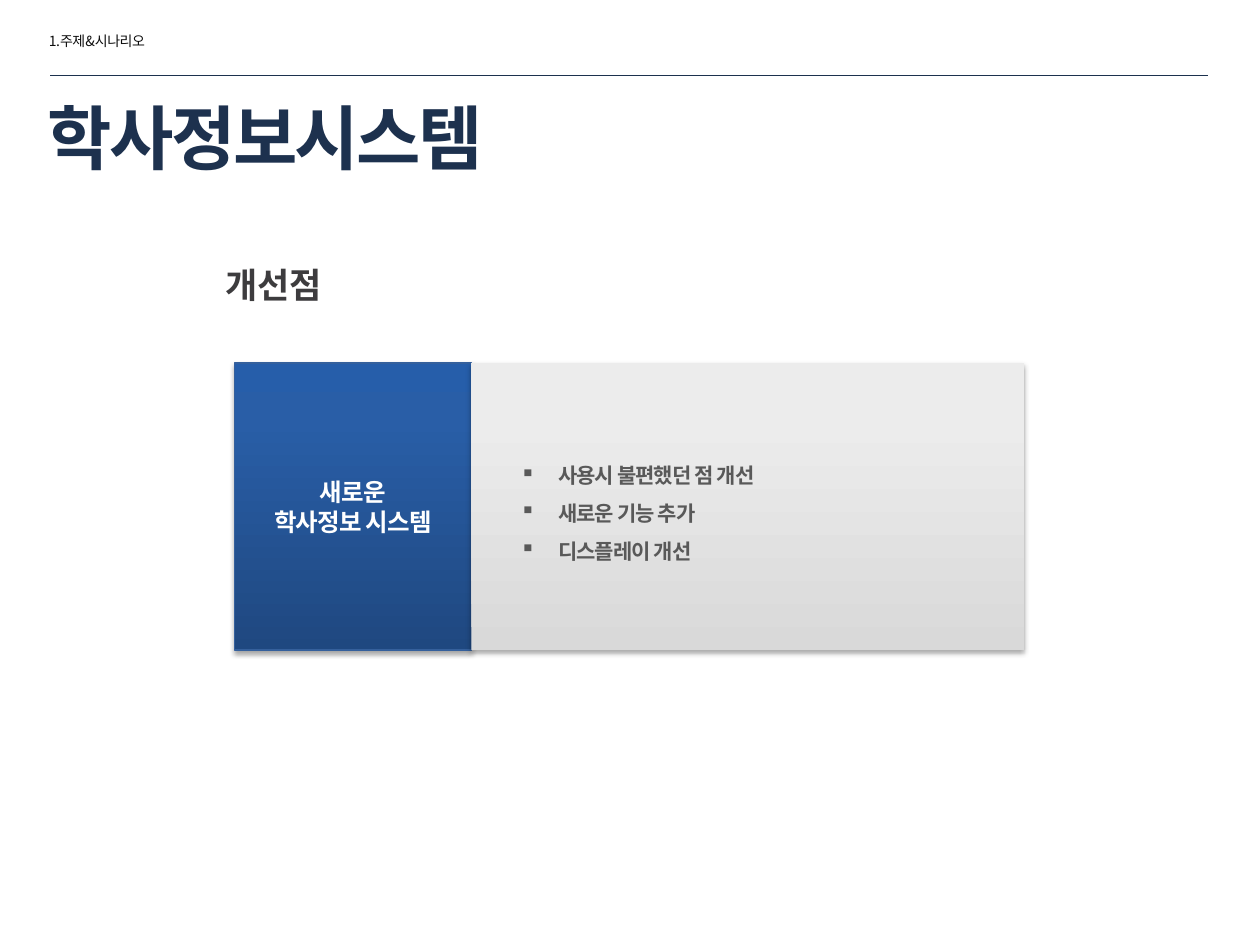
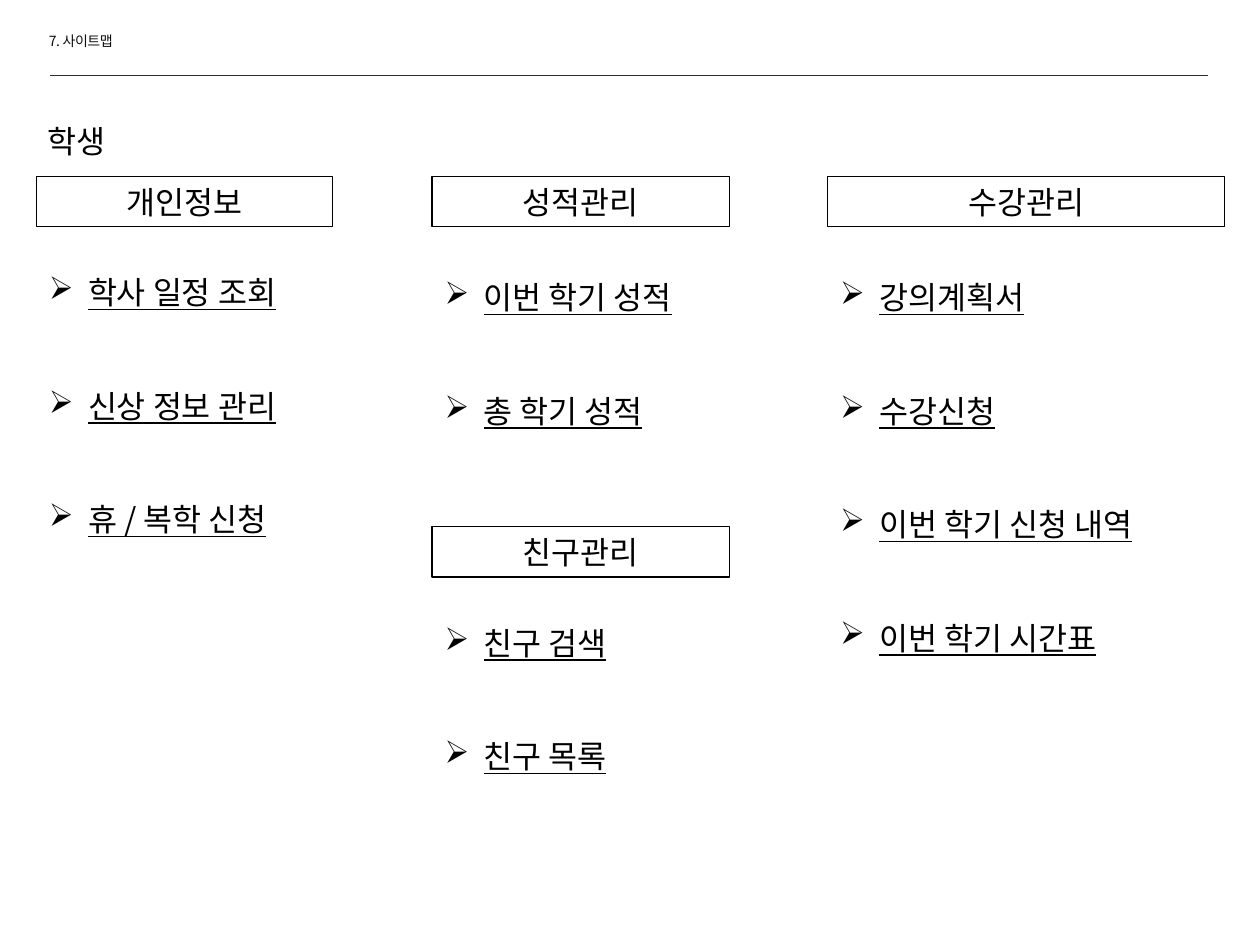
"""Build the two slides on the school information system."""
from dataclasses import dataclass

import lxml.etree
import pptx
import pptx.dml.color
import pptx.enum.shapes
import pptx.enum.text
import pptx.oxml.ns
import pptx.presentation
import pptx.shapes.autoshape
import pptx.slide
import pptx.util

RGB = pptx.dml.color.RGBColor
ALIGN = pptx.enum.text.PP_ALIGN
ANCHOR = pptx.enum.text.MSO_ANCHOR
qn = pptx.oxml.ns.qn

SCALE = 9144
FONT = "Noto Sans CJK KR"
LEAD = 1.2
BLACK = RGB(0x00, 0x00, 0x00)
WHITE = RGB(0xFF, 0xFF, 0xFF)
INK = RGB(0x0D, 0x0D, 0x0D)
NAVY = RGB(0x1D, 0x31, 0x4E)
RULE = RGB(0x1C, 0x31, 0x4E)
DARK = RGB(0x3D, 0x3C, 0x3E)
GRAY = RGB(0x59, 0x59, 0x59)
EDGE = RGB(0x35, 0x60, 0x9C)
BLUES = ((0, RGB(0x1F, 0x48, 0x80)), (80, RGB(0x29, 0x5E, 0xA7)), (100, RGB(0x26, 0x5E, 0xAA)))
GRAYS = ((0, RGB(0xD9, 0xD9, 0xD9)), (80, RGB(0xEC, 0xEC, 0xEC)))


@dataclass(frozen=True)
class Box:
    """Place and size in px."""
    left: int
    top: int
    width: int
    height: int

    def emu(self) -> tuple[int, ...]:
        """Return the four lengths in EMU."""
        return tuple(px(n) for n in (self.left, self.top, self.width, self.height))


@dataclass(frozen=True)
class Style:
    """Look of a run and its paragraph."""
    size: int
    color: RGB
    bold: bool = False
    under: bool = False
    track: int = 0
    align: ALIGN = ALIGN.LEFT
    lead: float = LEAD
    gap: float = 0
    mark: str = ""
    left: int = 0
    hang: int = 0


@dataclass(frozen=True)
class Group:
    """A menu heading with its list of pages."""
    name: str
    col: int
    top: int
    width: int
    drop: int
    height: int
    pages: tuple[str, ...]


HEAD = Style(8, INK, track=-30)
TITLE = Style(40, NAVY, bold=True, track=-150)
TOPIC = Style(20, DARK, bold=True)
LABEL = Style(14, WHITE, bold=True, track=-50, align=ALIGN.CENTER)
POINT = Style(12, GRAY, bold=True, track=-50, lead=1.5 * LEAD, mark="▪", left=59, hang=30)
ROLE = Style(18, BLACK)
MENU = Style(18, BLACK, align=ALIGN.CENTER)
PAGE = Style(18, BLACK, under=True, gap=43.2, mark="➢", left=31, hang=31)

COL_LEFT, COL_STEP, MENU_HIGH, LIST_PAD = 29, 314, 40, 36
GROUPS = (
    Group("개인정보", 0, 140, 235, 41, 252, ("학사 일정 조회", "신상 정보 관리", "휴 / 복학 신청")),
    Group("성적관리", 1, 140, 236, 45, 192, ("이번 학기 성적", "총 학기 성적")),
    Group("친구관리", 1, 418, 236, 41, 192, ("친구 검색", "친구 목록")),
    Group("수강관리", 2, 140, 315, 45, 374,
          ("강의계획서", "수강신청", "이번 학기 신청 내역", "이번 학기 시간표")),
)


def px(n: int) -> int:
    """Turn px into EMU."""
    return n * SCALE


def write(frame: pptx.text.text.TextFrame, lines: tuple[str, ...], style: Style) -> None:
    """Fill a frame with one paragraph per line."""
    frame.word_wrap = True
    for i, line in enumerate(lines):
        para = frame.add_paragraph() if i else frame.paragraphs[0]
        if style.mark:
            props = para._p.get_or_add_pPr()
            props.set("marL", str(px(style.left)))
            props.set("indent", str(-px(style.hang)))
            lxml.etree.SubElement(props, qn("a:buChar"), char=style.mark)
        para.alignment = style.align
        para.line_spacing = pptx.util.Pt(style.size * style.lead)
        para.space_before = pptx.util.Pt(style.gap if i else 0)
        run = para.add_run()
        run.text = line
        font = run.font
        font.name, font.size = FONT, pptx.util.Pt(style.size)
        font.bold, font.underline = style.bold, style.under
        font.color.rgb = style.color
        props = run._r.get_or_add_rPr()
        props.set("spc", str(style.track))
        props.find(qn("a:latin")).addnext(props.makeelement(qn("a:ea"), typeface=FONT))


def label(slide: pptx.slide.Slide, box: Box, lines: tuple[str, ...], style: Style,
          pad: int = 5) -> None:
    """Add a text box."""
    frame = slide.shapes.add_textbox(*box.emu()).text_frame
    frame.margin_top = px(pad)
    write(frame, lines, style)


def block(slide: pptx.slide.Slide, box: Box, lines: tuple[str, ...], style: Style,
          edge: RGB | None) -> pptx.shapes.autoshape.Shape:
    """Add a white box with centred text."""
    shape = slide.shapes.add_shape(pptx.enum.shapes.MSO_SHAPE.RECTANGLE, *box.emu())
    shape.shadow.inherit = False
    shape.fill.solid()
    shape.fill.fore_color.rgb = WHITE
    if edge is None:
        shape.line.fill.background()
    else:
        shape.line.color.rgb = edge
        shape.line.width = pptx.util.Pt(0.75)
    shape.text_frame.vertical_anchor = ANCHOR.MIDDLE
    write(shape.text_frame, lines, style)
    return shape


def tint(shape: pptx.shapes.autoshape.Shape, stops: tuple[tuple[int, RGB], ...]) -> None:
    """Give a box an upward gradient and a soft shadow."""
    shape.fill.gradient()
    shape.fill.gradient_angle = 90
    props = shape._element.spPr
    ramp = props.find(".//" + qn("a:gsLst"))
    ramp.clear()
    for place, color in stops:
        stop = lxml.etree.SubElement(ramp, qn("a:gs"), pos=str(place * 1000))
        lxml.etree.SubElement(stop, qn("a:srgbClr"), val=str(color))
    shade = lxml.etree.SubElement(
        props.find(qn("a:effectLst")), qn("a:outerShdw"),
        blurRad=str(pptx.util.Pt(3.1)), dist=str(pptx.util.Pt(1.8)),
        dir="5400000", rotWithShape="0")
    color = lxml.etree.SubElement(shade, qn("a:srgbClr"), val=str(BLACK))
    lxml.etree.SubElement(color, qn("a:alpha"), val="35000")


def start(deck: pptx.presentation.Presentation, layout: int, text: str) -> pptx.slide.Slide:
    """Add a slide with its header and rule."""
    slide = deck.slides.add_slide(deck.slide_layouts[layout])
    label(slide, Box(29, 21, 173, 24), (text,), HEAD)
    rule = slide.shapes.add_connector(
        pptx.enum.shapes.MSO_CONNECTOR.STRAIGHT, px(40), px(60), px(959), px(60))
    rule.line.color.rgb = RULE
    rule.line.width = pptx.util.Pt(0.25)
    lxml.etree.SubElement(rule._element.spPr, qn("a:effectLst"))
    return slide


def goals(deck: pptx.presentation.Presentation) -> None:
    """Build the slide of improvements."""
    slide = start(deck, 5, "1.주제&시나리오")
    title = slide.shapes.title
    title.left, title.top, title.width, title.height = Box(28, 58, 916, 100).emu()
    title.text_frame.auto_size = pptx.enum.text.MSO_AUTO_SIZE.NONE
    title.text_frame.vertical_anchor = ANCHOR.MIDDLE
    write(title.text_frame, ("학사정보시스템",), TITLE)
    label(slide, Box(169, 204, 223, 95), ("개선점",), TOPIC)
    tint(block(slide, Box(186, 288, 188, 228), ("새로운", "학사정보 시스템"), LABEL, EDGE), BLUES)
    points = ("사용시 불편했던 점 개선", "새로운 기능 추가", "디스플레이 개선")
    tint(block(slide, Box(374, 288, 439, 228), points, POINT, None), GRAYS)


def sitemap(deck: pptx.presentation.Presentation) -> None:
    """Build the slide of student menus."""
    slide = start(deck, 6, "7. 사이트맵")
    label(slide, Box(28, 92, 81, 40), ("학생",), ROLE)
    for group in GROUPS:
        left = COL_LEFT + group.col * COL_STEP
        block(slide, Box(left, group.top, group.width, MENU_HIGH), (group.name,), MENU, BLACK)
        label(slide, Box(left, group.top + group.drop, group.width, group.height),
              group.pages, PAGE, LIST_PAD)


def main() -> None:
    """Build and save the deck."""
    deck = pptx.Presentation()
    deck.slide_width, deck.slide_height = px(1000), px(750)
    goals(deck)
    sitemap(deck)
    deck.save("out.pptx")


if __name__ == "__main__":
    main()
